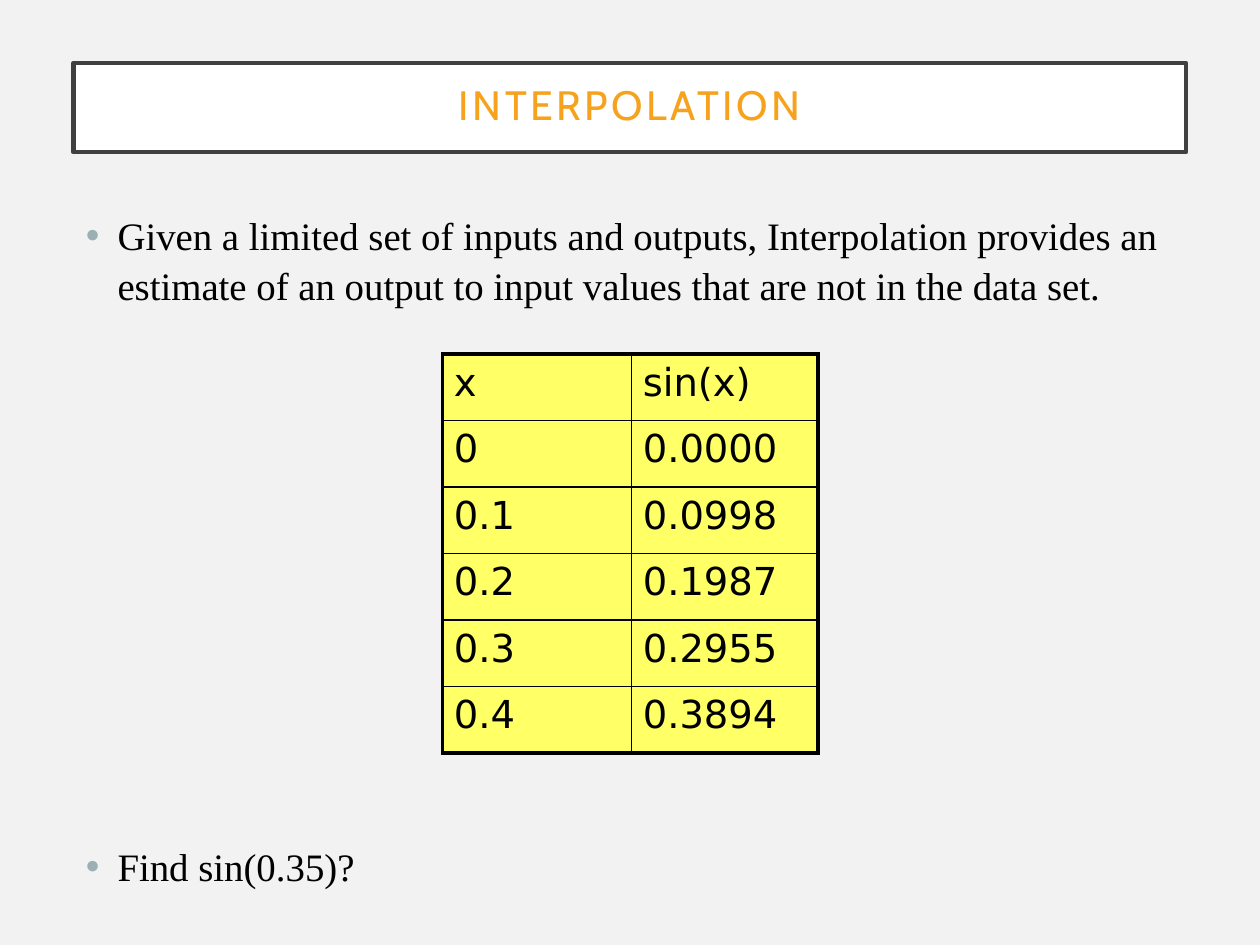
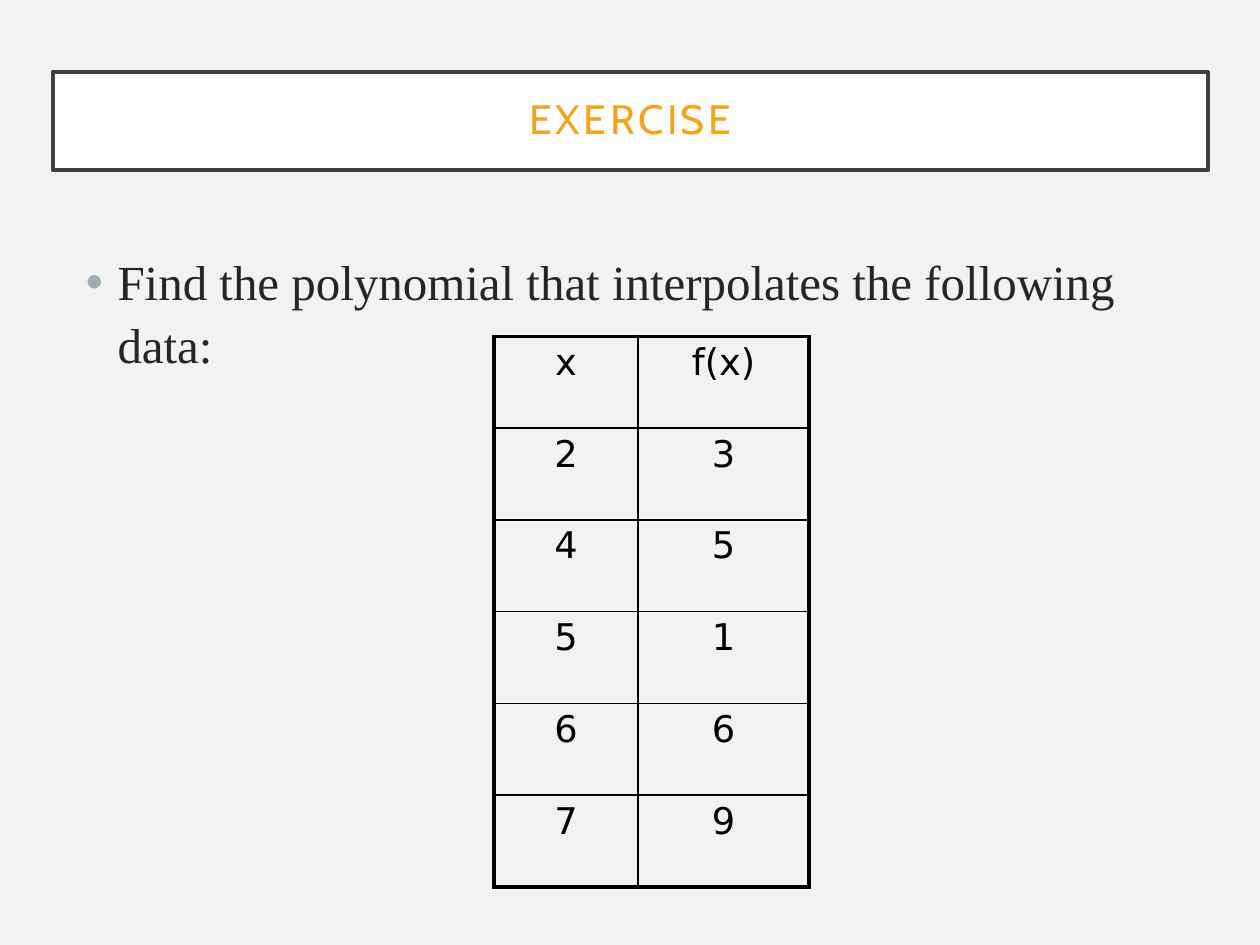
import pptx
import pptx.dml.color
import pptx.enum.shapes
import pptx.enum.text
import pptx.oxml.ns
import pptx.util
from lxml import etree

Cm = pptx.util.Cm
Pt = pptx.util.Pt
ALIGN = pptx.enum.text.PP_ALIGN
ANCHOR = pptx.enum.text.MSO_ANCHOR


def colour(code):
    return pptx.dml.color.RGBColor.from_string(code)


def add_xml(parent, tag, **attributes):
    return etree.SubElement(parent, pptx.oxml.ns.qn(tag), attributes)


class Deck:
    BACKGROUND = "F2F2F2"
    BAND = "FFFFFF"
    FRAME = "404040"
    TITLE = "F6A21D"
    BULLET = "9BAFB5"
    INK = "000000"
    TITLE_FONT = "Cabin"
    BODY_FONT = "Times New Roman"
    TABLE_FONT = "DejaVu Sans"
    OUTER_RULE = 2.25
    INNER_RULE = 1

    def __init__(self):
        self.presentation = pptx.Presentation()
        self.presentation.slide_width = Cm(25.4)
        self.presentation.slide_height = Cm(19.05)
        self.slide = None

    def new_slide(self):
        blank = self.presentation.slide_layouts[6]
        self.slide = self.presentation.slides.add_slide(blank)
        backdrop = self.slide.background.fill
        backdrop.solid()
        backdrop.fore_color.rgb = colour(self.BACKGROUND)

    def text_run(self, paragraph, text, font, size, ink):
        run = paragraph.add_run()
        run.text = text
        run.font.name = font
        run.font.size = Pt(size)
        run.font.color.rgb = colour(ink)
        return run

    def title(self, text, left, top, width, height):
        band = self.slide.shapes.add_shape(
            pptx.enum.shapes.MSO_SHAPE.RECTANGLE,
            Cm(left), Cm(top), Cm(width), Cm(height))
        band.shadow.inherit = False
        band.fill.solid()
        band.fill.fore_color.rgb = colour(self.BAND)
        band.line.color.rgb = colour(self.FRAME)
        band.line.width = Pt(2.5)
        frame = band.text_frame
        frame.word_wrap = True
        frame.vertical_anchor = ANCHOR.MIDDLE
        frame.margin_left = frame.margin_right = Cm(0.5)
        frame.margin_top = frame.margin_bottom = Cm(0.5)
        heading = frame.paragraphs[0]
        heading.alignment = ALIGN.CENTER
        heading.line_spacing = 0.9
        run = self.text_run(heading, text, self.TITLE_FONT, 23.4, self.TITLE)
        run.font._element.set("spc", "200")

    def bullets(self, points, left, top, width, height, size, ink, gap=10):
        body = self.slide.shapes.add_textbox(
            Cm(left), Cm(top), Cm(width), Cm(height))
        frame = body.text_frame
        frame.word_wrap = True
        for index, point in enumerate(points):
            paragraph = frame.add_paragraph() if index else frame.paragraphs[0]
            paragraph.line_spacing = 1.06
            paragraph.space_before = Pt(gap if index else 0)
            properties = paragraph._p.get_or_add_pPr()
            properties.set("marL", str(Cm(0.64)))
            properties.set("indent", str(-Cm(0.64)))
            marker = add_xml(properties, "a:buClr")
            add_xml(marker, "a:srgbClr", val=self.BULLET)
            add_xml(properties, "a:buFont", typeface="Arial")
            add_xml(properties, "a:buChar", char="•")
            self.text_run(paragraph, point, self.BODY_FONT, size, ink)

    def rule(self, cell, side, weight):
        line = add_xml(cell._tc.get_or_add_tcPr(), "a:ln" + side,
                       w=str(Pt(weight)))
        add_xml(add_xml(line, "a:solidFill"), "a:srgbClr", val=self.INK)

    def table(self, rows, left, top, columns, row_height, size, align,
              margin, fill=None):
        last_row, last_column = len(rows) - 1, len(columns) - 1
        grid = self.slide.shapes.add_table(
            len(rows), len(columns), Cm(left), Cm(top),
            Cm(sum(columns)), Cm(row_height * len(rows))).table
        grid.first_row = False
        grid.horz_banding = False
        for column, width in zip(grid.columns, columns):
            column.width = Cm(width)
        for r, values in enumerate(rows):
            grid.rows[r].height = Cm(row_height)
            for c, value in enumerate(values):
                cell = grid.cell(r, c)
                cell.margin_left = cell.margin_right = Cm(0.23)
                cell.margin_top = cell.margin_bottom = Cm(margin)
                outer = {"L": c == 0, "R": c == last_column,
                         "T": r == 0, "B": r == last_row}
                for side, is_outer in outer.items():
                    self.rule(cell, side, self.OUTER_RULE if is_outer
                              else self.INNER_RULE)
                if fill:
                    cell.fill.solid()
                    cell.fill.fore_color.rgb = colour(fill)
                else:
                    cell.fill.background()
                paragraph = cell.text_frame.paragraphs[0]
                paragraph.alignment = align
                self.text_run(paragraph, value, self.TABLE_FONT, size,
                              self.INK)


deck = Deck()

deck.new_slide()
deck.title("INTERPOLATION", 1.48, 1.27, 22.43, 1.8)
deck.bullets(
    ["Given a limited set of inputs and outputs, Interpolation provides an "
     "estimate of an output to input values that are not in the data set.",
     "Find sin(0.35)?"],
    1.48, 4.09, 22.43, 14.12, 22.2, Deck.INK, gap=304)
sine_values = [("x", "sin(x)"), ("0", "0.0000"), ("0.1", "0.0998"),
               ("0.2", "0.1987"), ("0.3", "0.2955"), ("0.4", "0.3894")]
deck.table(sine_values, 8.92, 7.14, [3.81, 3.76], 1.34, 22, ALIGN.LEFT,
           0.13, fill="FFFF66")

deck.new_slide()
deck.title("EXERCISE", 1.07, 1.45, 23.28, 1.98)
deck.bullets(["Find the polynomial that interpolates the following data:"],
             1.48, 4.88, 21.8, 11.07, 28, "262626")
exercise_points = [("x", "f(x)"), ("2", "3"), ("4", "5"),
                   ("5", "1"), ("6", "6"), ("7", "9")]
deck.table(exercise_points, 9.96, 6.78, [2.9, 3.45], 1.85, 21, ALIGN.CENTER,
           0.1)

deck.presentation.save("out.pptx")
